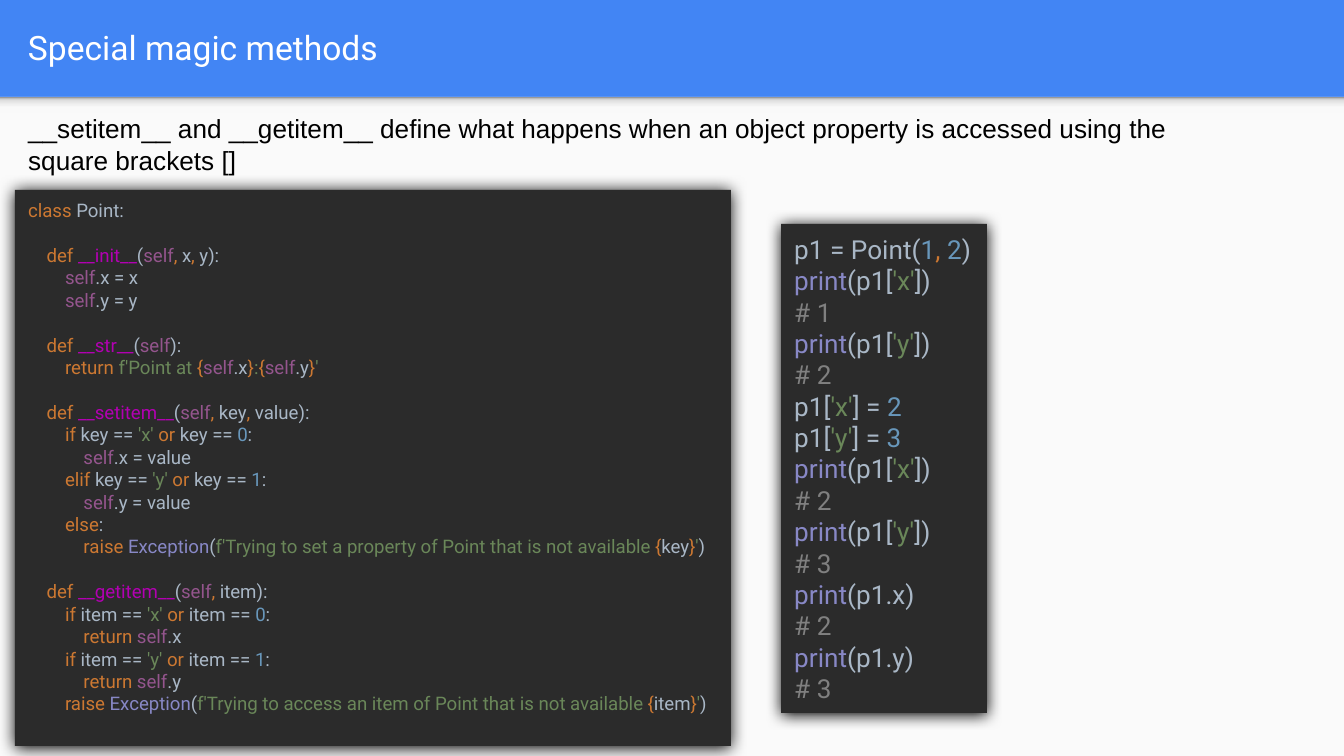
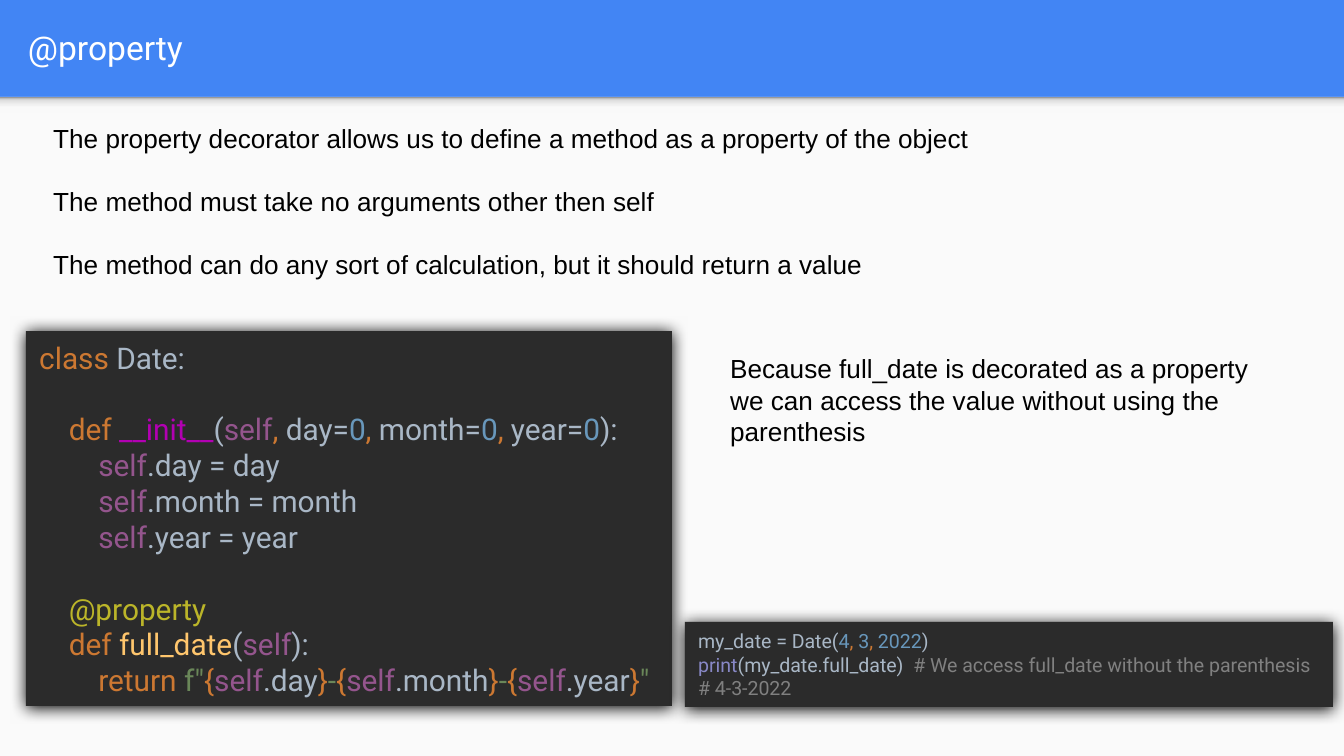
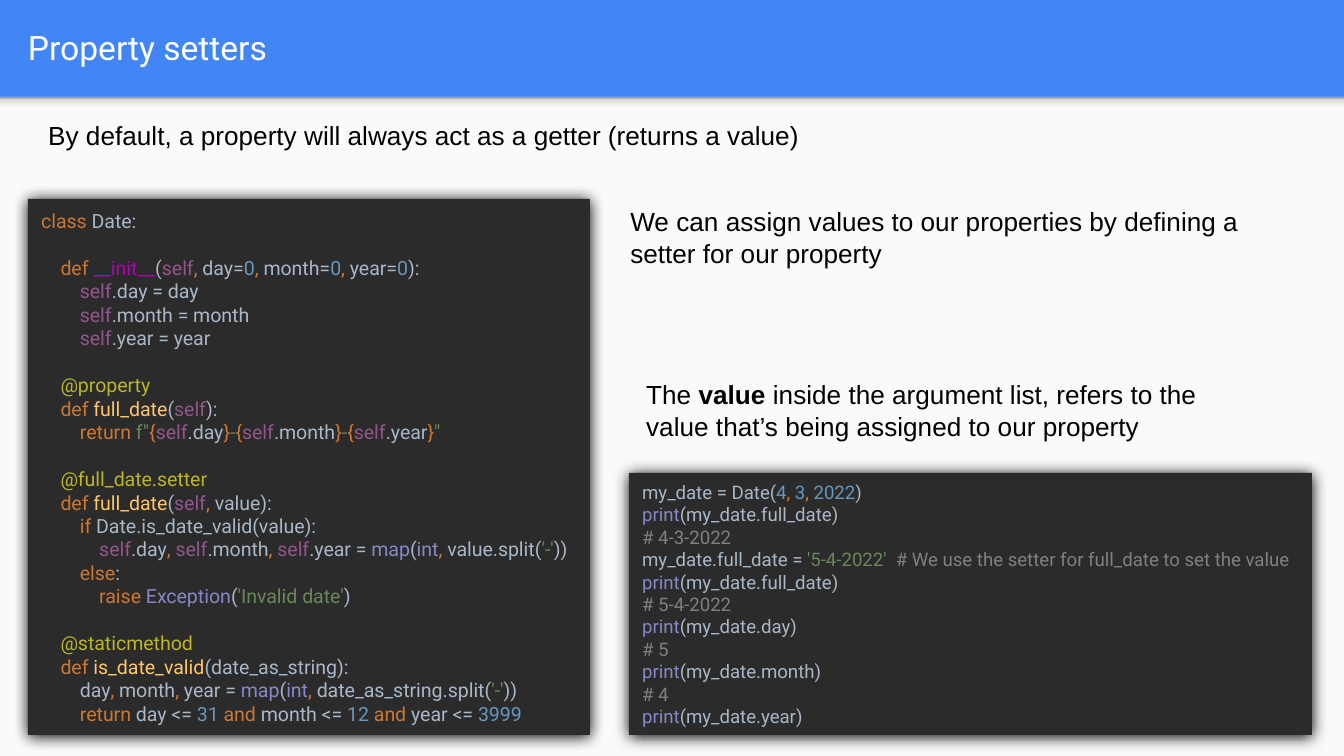
from itertools import groupby

from pptx import Presentation
from pptx.dml.color import RGBColor
from pptx.enum.shapes import MSO_SHAPE
from pptx.enum.text import MSO_ANCHOR, MSO_AUTO_SIZE, PP_ALIGN
from pptx.oxml import parse_xml
from pptx.oxml.ns import nsdecls, qn
from pptx.util import Emu, Pt

# Shared look
SLIDE_WIDTH, SLIDE_HEIGHT = 1344, 756
HEADER_HEIGHT = 97
EMU_PER_PX = 914400 / 134.4
HEADER_BLUE, PAGE, PANEL = "4285F4", "FAFAFA", "2B2B2B"
WHITE, BLACK = "FFFFFF", "000000"
STRIP_STOPS = [(0, "F9F9F9"), (36, "F9F9F9"), (80, "DEDEDE"), (100, "999999")]
TITLE_FONT = CODE_FONT = "Roboto"
BODY_FONT = "Arial"

# Code colours
PLAIN, KEYWORD, STRING, NUMBER = "A9B7C6", "CC7832", "6A8759", "6897BB"
COMMENT, DECORATOR, FUNCTION = "808080", "BBB529", "FFC66D"
WORD_COLOURS = {
    **dict.fromkeys("class def return if elif else raise or and".split(), KEYWORD),
    **dict.fromkeys("print Exception map int".split(), "8888C6"),
    "self": "94558D",
    ",": KEYWORD,
}
MAGIC = "B200B2"

# Code samples
POINT_CLASS = '''class Point:

    def __init__(self, x, y):
        self.x = x
        self.y = y

    def __str__(self):
        return f'Point at {self.x}:{self.y}'

    def __setitem__(self, key, value):
        if key == 'x' or key == 0:
            self.x = value
        elif key == 'y' or key == 1:
            self.y = value
        else:
            raise Exception(f'Trying to set a property of Point that is not available {key}')

    def __getitem__(self, item):
        if item == 'x' or item == 0:
            return self.x
        if item == 'y' or item == 1:
            return self.y
        raise Exception(f'Trying to access an item of Point that is not available {item}')
'''
POINT_USE = '''p1 = Point(1, 2)
print(p1['x'])
# 1
print(p1['y'])
# 2
p1['x'] = 2
p1['y'] = 3
print(p1['x'])
# 2
print(p1['y'])
# 3
print(p1.x)
# 2
print(p1.y)
# 3'''
DATE_CLASS = '''class Date:

    def __init__(self, day=0, month=0, year=0):
        self.day = day
        self.month = month
        self.year = year

    @property
    def full_date(self):
        return f"{self.day}-{self.month}-{self.year}"'''
DATE_SETTER = '''

    @full_date.setter
    def full_date(self, value):
        if Date.is_date_valid(value):
            self.day, self.month, self.year = map(int, value.split('-'))
        else:
            raise Exception('Invalid date')

    @staticmethod
    def is_date_valid(date_as_string):
        day, month, year = map(int, date_as_string.split('-'))
        return day <= 31 and month <= 12 and year <= 3999'''
DATE_USE = '''my_date = Date(4, 3, 2022)
print(my_date.full_date)  # We access full_date without the parenthesis
# 4-3-2022'''
SETTER_USE = '''my_date = Date(4, 3, 2022)
print(my_date.full_date)
# 4-3-2022
my_date.full_date = '5-4-2022'  # We use the setter for full_date to set the value
print(my_date.full_date)
# 5-4-2022
print(my_date.day)
# 5
print(my_date.month)
# 4
print(my_date.year)'''


def px(length):
    return Emu(round(length * EMU_PER_PX))


def colour(hex_string):
    return RGBColor.from_string(hex_string)


def set_font(font, name, size, hex_string):
    font.name, font.size = name, Pt(size)
    font.color.rgb = colour(hex_string)


def add_rectangle(slide, box, fill=None):
    shape = slide.shapes.add_shape(MSO_SHAPE.RECTANGLE, *map(px, box))
    if fill:
        shape.fill.solid()
        shape.fill.fore_color.rgb = colour(fill)
    shape.line.fill.background()
    shape.shadow.inherit = False
    return shape


# Syntax colouring
def highlight_string(literal):
    while "{" in literal:
        before, _, rest = literal.partition("{")
        field, _, literal = rest.partition("}")
        yield before, STRING
        yield "{", KEYWORD
        yield from highlight(field)
        yield "}", KEYWORD
    yield literal, STRING


def highlight(line):
    """Yield (text, colour) pairs; spaces belong to the token before them."""
    start, previous = 0, ""
    while start < len(line):
        first, end = line[start], start + 1
        opening = start + (line[start:start + 2] in ("f'", 'f"'))
        is_string = line[opening] in "'\""
        if first in "#@":
            end = len(line)
        elif is_string:
            end = line.index(line[opening], opening + 1) + 1
        elif first.isalnum() or first == "_":
            while end < len(line) and (line[end].isalnum() or line[end] == "_"):
                end += 1
        while line[end:end + 1] == " ":
            end += 1
        token = line[start:end]
        word = token.strip()
        if is_string:
            yield from highlight_string(token)
        elif first in "#@":
            yield token, COMMENT if first == "#" else DECORATOR
        elif first.isdigit():
            yield token, NUMBER
        elif word.startswith("__"):
            yield token, MAGIC
        elif previous == "def":
            yield token, FUNCTION
        else:
            yield token, WORD_COLOURS.get(word, PLAIN)
        start, previous = end, word


# Slide parts
def add_code(slide, box, code, size):
    panel = add_rectangle(slide, box, PANEL)
    panel._element.spPr.find(qn("a:effectLst")).append(parse_xml(
        f'<a:outerShdw {nsdecls("a")} blurRad="107950" dist="12700" dir="5400000"'
        f' algn="ctr" rotWithShape="0"><a:srgbClr val="{BLACK}"/></a:outerShdw>'))
    frame = panel.text_frame
    frame.word_wrap = False
    frame.auto_size = MSO_AUTO_SIZE.SHAPE_TO_FIT_TEXT
    frame.vertical_anchor = MSO_ANCHOR.MIDDLE
    paragraph = frame.paragraphs[0]
    paragraph.alignment = PP_ALIGN.LEFT
    set_font(paragraph.font, CODE_FONT, size, PLAIN)
    for number, line in enumerate(code.split("\n")):
        if number:
            paragraph.add_line_break()
        tokens = [token for token in highlight(line) if token[0]]
        for hex_string, group in groupby(tokens, key=lambda token: token[1]):
            run = paragraph.add_run()
            run.text = "".join(text for text, _ in group)
            run.font.color.rgb = colour(hex_string)


def add_body(slide, box, *texts):
    """Add one paragraph per text; words between ** are bold."""
    frame = slide.shapes.add_textbox(*map(px, box)).text_frame
    frame.word_wrap = True
    frame.auto_size = MSO_AUTO_SIZE.SHAPE_TO_FIT_TEXT
    for number, text in enumerate(texts):
        paragraph = frame.add_paragraph() if number else frame.paragraphs[0]
        if number:
            paragraph.space_before = Pt(17)
        set_font(paragraph.font, BODY_FONT, 14, BLACK)
        for index, part in enumerate(text.split("**")):
            run = paragraph.add_run()
            run.text = part
            if index % 2:
                run.font.bold = True


def add_titled_slide(presentation, title):
    slide = presentation.slides.add_slide(presentation.slide_layouts[5])
    shape = slide.shapes.title
    shape.left, shape.top, shape.width, shape.height = map(px, (15, 3, 1297, 89))
    frame = shape.text_frame
    frame.text = title
    frame.vertical_anchor = MSO_ANCHOR.MIDDLE
    frame.margin_left = frame.margin_right = px(13)
    frame.margin_top = frame.margin_bottom = px(13)
    paragraph = frame.paragraphs[0]
    paragraph.alignment = PP_ALIGN.LEFT
    set_font(paragraph.font, TITLE_FONT, 18, WHITE)
    return slide


def move_bands_to_layout(slide):
    """Draw the page and the header's shade, then share them through the layout."""
    layout = slide.slide_layout
    layout.background.fill.solid()
    layout.background.fill.fore_color.rgb = colour(HEADER_BLUE)
    page = add_rectangle(
        slide, (0, HEADER_HEIGHT, SLIDE_WIDTH, SLIDE_HEIGHT - HEADER_HEIGHT), PAGE)
    shade = add_rectangle(slide, (0, HEADER_HEIGHT, SLIDE_WIDTH, 16))
    stops = "".join(f'<a:gs pos="{position * 1000}"><a:srgbClr val="{value}"/></a:gs>'
                    for position, value in STRIP_STOPS)
    shade._element.spPr.insert(2, parse_xml(
        f'<a:gradFill {nsdecls("a")}><a:gsLst>{stops}</a:gsLst>'
        '<a:lin ang="16200000" scaled="0"/></a:gradFill>'))
    for index, band in enumerate((page, shade), start=2):
        layout.shapes._spTree.insert(index, band._element)


# Slides
def add_magic_methods_slide(presentation):
    slide = add_titled_slide(presentation, "Special magic methods")
    move_bands_to_layout(slide)
    add_body(slide, (15, 106, 1235, 77),
             "__setitem__ and __getitem__ define what happens when an object property "
             "is accessed using the square brackets []")
    add_code(slide, (15, 190, 716, 556), POINT_CLASS, 10)
    add_code(slide, (781, 224, 206, 489), POINT_USE, 14)


def add_property_slide(presentation):
    slide = add_titled_slide(presentation, "@property")
    add_code(slide, (26, 331, 646, 375), DATE_CLASS, 16)
    add_code(slide, (685, 622, 648, 85), DATE_USE, 10.5)
    add_body(slide, (40, 116, 1224, 172),
             "The property decorator allows us to define a method as a property of the object",
             "The method must take no arguments other then self",
             "The method can do any sort of calculation, but it should return a value")
    add_body(slide, (717, 346, 579, 109),
             "Because full_date is decorated as a property we can access the value "
             "without using the parenthesis")


def add_setters_slide(presentation):
    slide = add_titled_slide(presentation, "Property setters")
    add_code(slide, (28, 199, 562, 536), DATE_CLASS + DATE_SETTER, 10.5)
    add_body(slide, (35, 113, 1218, 46),
             "By default, a property will always act as a getter (returns a value)")
    add_body(slide, (617, 199, 684, 77),
             "We can assign values to our properties by defining a setter for our property")
    add_code(slide, (629, 473, 683, 262), SETTER_USE, 10)
    add_body(slide, (633, 372, 621, 77),
             "The **value** inside the argument list, refers to the value that’s being "
             "assigned to our property")


def main():
    presentation = Presentation()
    presentation.slide_width = px(SLIDE_WIDTH)
    presentation.slide_height = px(SLIDE_HEIGHT)
    add_magic_methods_slide(presentation)
    add_property_slide(presentation)
    add_setters_slide(presentation)
    presentation.save("out.pptx")


if __name__ == "__main__":
    main()
